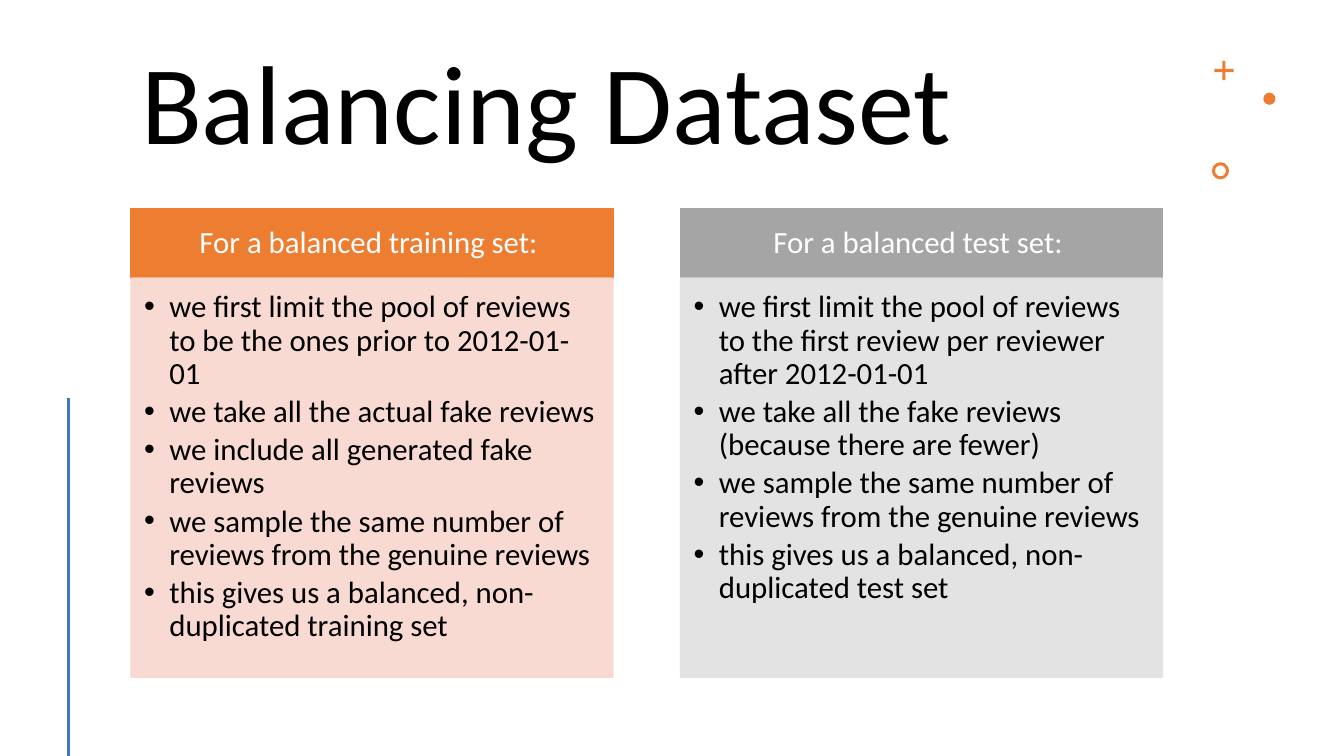
import pptx
import pptx.util
import pptx.dml.color
import pptx.enum.shapes
import pptx.enum.text
import pptx.oxml
import pptx.oxml.ns

Inches, Pt = pptx.util.Inches, pptx.util.Pt
SHAPE = pptx.enum.shapes.MSO_SHAPE
ALIGN = pptx.enum.text.PP_ALIGN
ANCHOR = pptx.enum.text.MSO_ANCHOR

ORANGE, GRAY, BLUE = "ED7D31", "A5A5A5", "4472C4"
COLUMN_W, HEAD_H, LIST_H = 4.78, 0.69, 3.96
LEFT, TOP, COLUMN_STEP = 1.3, 2.07, 5.45

# Header, header colour, list colour, list items
COLUMNS = [
    ("For a balanced training set: ", ORANGE, "F8D7CE", [
        "we first limit the pool of reviews to be the ones prior to 2012-01-01",
        "we take all the actual fake reviews",
        "we include all generated fake reviews",
        "we sample the same number of reviews from the genuine reviews",
        "this gives us a balanced, non-duplicated training set",
    ]),
    ("For a balanced test set: ", GRAY, "E1E1E1", [
        "we first limit the pool of reviews to the first review per reviewer after 2012-01-01",
        "we take all the fake reviews (because there are fewer)",
        "we sample the same number of reviews from the genuine reviews",
        "this gives us a balanced, non-duplicated test set",
    ]),
]


def rgb(color):
    return pptx.dml.color.RGBColor.from_string(color)


def place(sp, x, y, w, h):
    sp.left, sp.top, sp.width, sp.height = map(Inches, (x, y, w, h))


def paint(sp, color, alpha=100):
    """Give a box the same fill and outline, optionally translucent."""
    sp.fill.solid()
    sp.fill.fore_color.rgb = rgb(color)
    sp.line.color.rgb = rgb(color)
    sp.line.width = Pt(1)
    if alpha < 100:
        for clr in sp._element.spPr.iter(pptx.oxml.ns.qn("a:srgbClr")):
            clr.append(pptx.oxml.parse_xml(
                f'<a:alpha {pptx.oxml.ns.nsdecls("a")} val="{alpha * 1000}"/>'))


def set_frame(tf, anchor, insets):
    tf.word_wrap = True
    tf.auto_size = pptx.enum.text.MSO_AUTO_SIZE.NONE
    tf.vertical_anchor = anchor
    tf.margin_left, tf.margin_top, tf.margin_right, tf.margin_bottom = map(Inches, insets)


def write(p, text, size, color, align=ALIGN.LEFT, after=0):
    p.alignment = align
    p.line_spacing = 0.9
    p.space_before, p.space_after = Pt(0), Pt(after)
    r = p.add_run()
    r.text = text
    r.font.name, r.font.size, r.font.bold = "Calibri", Pt(size), False
    r.font.color.rgb = rgb(color)


def add_bullet(p):
    pPr = p._p.get_or_add_pPr()
    pPr.set("marL", str(Inches(0.25)))
    pPr.set("indent", str(-Inches(0.25)))
    ns = pptx.oxml.ns.nsdecls("a")
    pPr.append(pptx.oxml.parse_xml(f'<a:buFont {ns} typeface="Arial"/>'))
    pPr.append(pptx.oxml.parse_xml(f'<a:buChar {ns} char="•"/>'))


def fill_title(sp, text):
    place(sp, LEFT, 0.42, 10.23, 1.31)
    set_frame(sp.text_frame, ANCHOR.MIDDLE, (0.1, 0.05, 0.1, 0.05))
    write(sp.text_frame.paragraphs[0], text, 80, "000000")


def fill_header(sp, x, text, color):
    place(sp, x, TOP, COLUMN_W, HEAD_H)
    paint(sp, color)
    set_frame(sp.text_frame, ANCHOR.MIDDLE, (0.17, 0.1, 0.17, 0.1))
    write(sp.text_frame.paragraphs[0], text, 22, "FFFFFF", ALIGN.CENTER)


def fill_list(sp, x, items, color):
    place(sp, x, TOP + HEAD_H, COLUMN_W, LIST_H)
    paint(sp, color, 90)
    tf = sp.text_frame
    set_frame(tf, ANCHOR.TOP, (0.13, 0.13, 0.17, 0.19))
    for i, item in enumerate(items):
        p = tf.add_paragraph() if i else tf.paragraphs[0]
        write(p, item, 22, "000000", after=3.5)
        add_bullet(p)


def add_ornament(s, kind, x, y, size, thickness=None):
    sp = s.shapes.add_shape(kind, *map(Inches, (x, y, size, size)))
    sp.shadow.inherit = False
    sp.fill.solid()
    sp.fill.fore_color.rgb = rgb(ORANGE)
    sp.line.fill.background()
    if thickness:
        sp.adjustments[0] = thickness / size


def add_line(s, x1, y1, x2, y2, color, width):
    line = s.shapes.add_connector(pptx.enum.shapes.MSO_CONNECTOR.STRAIGHT,
                                  *map(Inches, (x1, y1, x2, y2)))
    line.line.color.rgb = rgb(color)
    line.line.width = Pt(width)
    line._element.spPr.append(pptx.oxml.parse_xml(
        f'<a:effectLst {pptx.oxml.ns.nsdecls("a")}/>'))


def main():
    prs = pptx.Presentation()
    prs.slide_width, prs.slide_height = Inches(13.33), Inches(7.5)
    s = prs.slides.add_slide(prs.slide_layouts.get_by_name("Comparison"))

    # Title
    fill_title(s.shapes.title, "Balancing Dataset")

    # Two columns, each a header over a list
    for i, (header, head_color, list_color, items) in enumerate(COLUMNS):
        x = LEFT + i * COLUMN_STEP
        fill_header(s.placeholders[1 + 2 * i], x, header, head_color)
        fill_list(s.placeholders[2 + 2 * i], x, items, list_color)

    # Corner ornaments and side line
    add_ornament(s, SHAPE.MATH_PLUS, 12.01, 0.57, 0.26, 0.03)
    add_ornament(s, SHAPE.OVAL, 12.53, 0.92, 0.12)
    add_ornament(s, SHAPE.DONUT, 12.02, 1.61, 0.17, 0.03)
    add_line(s, 0.68, 3.95, 0.68, 7.5, BLUE, 2)

    prs.save("out.pptx")


if __name__ == "__main__":
    main()
